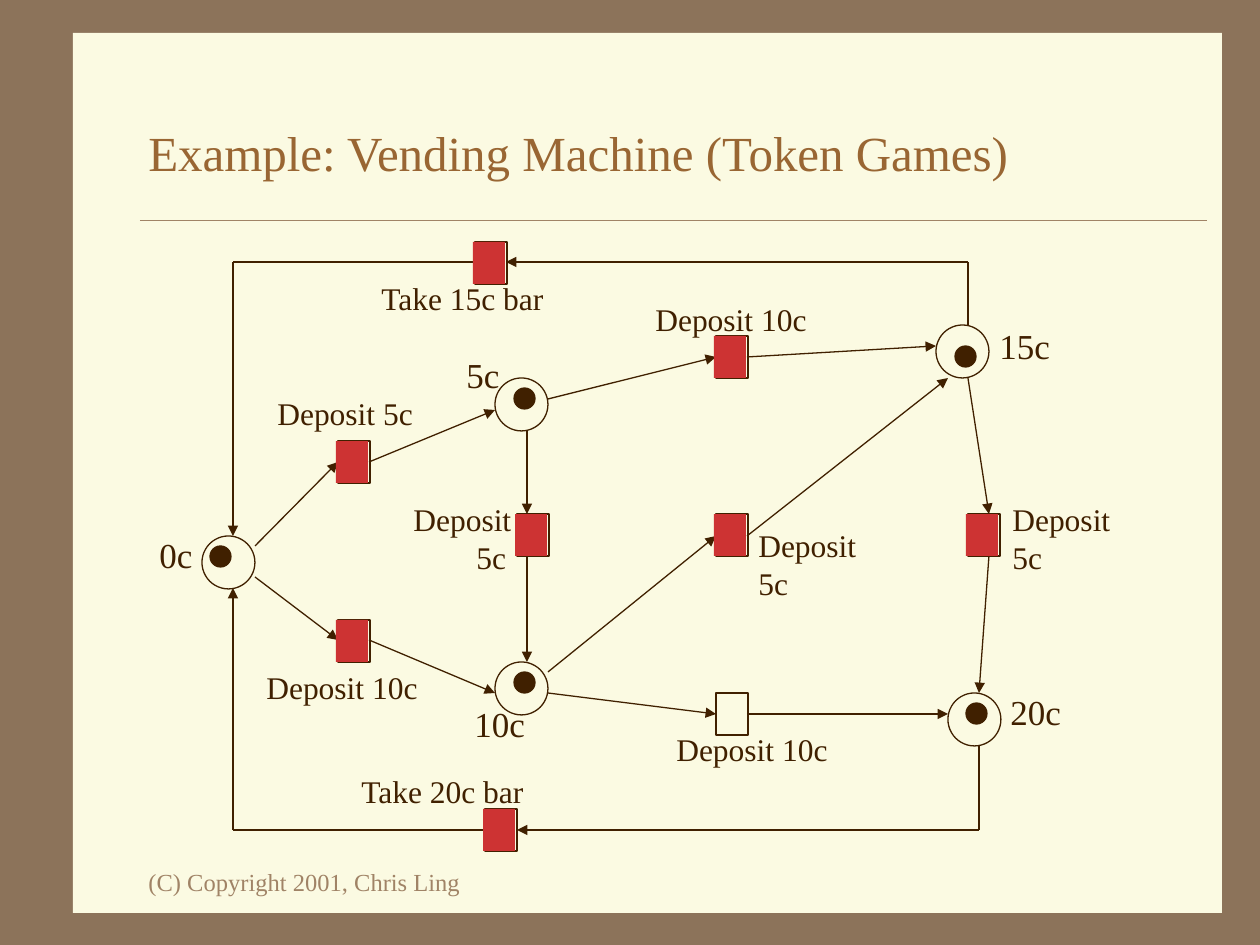
"""Draw the vending machine Petri net with its tokens and fired transitions."""
from typing import NamedTuple

from lxml import etree
from pptx import Presentation
from pptx.dml.color import RGBColor
from pptx.enum.shapes import MSO_CONNECTOR, MSO_SHAPE
from pptx.enum.text import MSO_ANCHOR, MSO_AUTO_SIZE
from pptx.oxml.ns import qn
from pptx.util import Emu, Pt

RECT = MSO_SHAPE.RECTANGLE
OVAL = MSO_SHAPE.OVAL
LINE = MSO_CONNECTOR.STRAIGHT
MIDDLE = MSO_ANCHOR.MIDDLE
TOP = MSO_ANCHOR.TOP
GROW = MSO_AUTO_SIZE.SHAPE_TO_FIT_TEXT

FONT = "Times New Roman"
DARK, RED, BROWN = "402000", "CD3333", "996633"
CREAM, FRAME, TAN = "FBFAE2", "8C735A", "A08366"
RING, DOT, BAR = (53, 53), (21, 21), (32, 42)


class Place(NamedTuple):
    x: int
    y: int
    dx: int
    dy: int


class Step(NamedTuple):
    x: int
    y: int
    fired: bool = True


class Label(NamedTuple):
    x: int
    y: int
    w: int
    h: int
    text: str
    size: int = 18
    color: str = DARK
    wrap: bool = False
    anchor: MSO_ANCHOR = TOP
    indent: int = 0


class Route(NamedTuple):
    points: list[tuple[int, int]]
    color: str = DARK
    width: float = 0.75
    arrow: bool = True


PLACES = [
    Place(202, 536, 8, 10),
    Place(495, 378, 19, 10),
    Place(495, 662, 19, 10),
    Place(948, 693, 18, 10),
    Place(936, 325, 19, 21),
]
STEPS = [
    Step(338, 620), Step(338, 441), Step(716, 336),
    Step(716, 693, False), Step(716, 514), Step(517, 514),
    Step(968, 514), Step(485, 809), Step(475, 242),
]
ROUTES = [
    Route([(140, 220), (1207, 220)], TAN, 0.25, False),
    Route([(968, 325), (968, 262), (506, 262)]),
    Route([(475, 262), (233, 262), (233, 536)]),
    Route([(979, 746), (979, 830), (517, 830)]),
    Route([(485, 830), (233, 830), (233, 588)]),
    Route([(255, 546), (338, 462)]),
    Route([(255, 577), (338, 640)]),
    Route([(369, 462), (495, 410)]),
    Route([(369, 640), (495, 693)]),
    Route([(548, 399), (716, 357)]),
    Route([(747, 357), (936, 346)]),
    Route([(527, 430), (527, 514)]),
    Route([(527, 556), (527, 662)]),
    Route([(548, 672), (716, 536)]),
    Route([(747, 536), (948, 378)]),
    Route([(548, 693), (716, 714)]),
    Route([(747, 714), (948, 714)]),
    Route([(968, 378), (989, 514)]),
    Route([(989, 556), (979, 693)]),
]
LABELS = [
    Label(136, 861, 347, 42, "(C) Copyright 2001, Chris Ling", 14, TAN, True),
    Label(136, 84, 1071, 136, "Example: Vending Machine (Token Games)", 28,
          BROWN, True, MIDDLE),
    Label(454, 347, 58, 55, "5c", 20),
    Label(147, 527, 58, 55, "0c", 20),
    Label(462, 696, 76, 55, "10c", 20),
    Label(998, 684, 76, 55, "20c", 20),
    Label(987, 318, 76, 55, "15c", 20),
    Label(369, 273, 243, 50, "Take 15c bar", wrap=True),
    Label(349, 766, 189, 50, "Take 20c bar"),
    Label(265, 388, 162, 50, "Deposit 5c"),
    Label(254, 662, 178, 50, "Deposit 10c"),
    Label(643, 294, 178, 50, "Deposit 10c"),
    Label(664, 724, 178, 50, "Deposit 10c"),
    Label(401, 494, 136, 88, "Deposit\n5c", wrap=True, indent=63),
    Label(746, 520, 123, 88, "Deposit\n5c"),
    Label(1000, 494, 123, 88, "Deposit\n5c"),
]


def px(n: int) -> Emu:
    """Turn pixels into EMU."""
    return Emu(round(n * 914400 / 126))


def rgb(code: str) -> RGBColor:
    """Turn a hex string into a colour."""
    return RGBColor.from_string(code)


def draw_shape(slide, kind: MSO_SHAPE, x: int, y: int, size: tuple[int, int],
               fill: str = "", line: str = "") -> None:
    """Add one preset shape."""
    shape = slide.shapes.add_shape(kind, px(x), px(y), *map(px, size))
    shape.shadow.inherit = False
    if fill:
        shape.fill.solid()
        shape.fill.fore_color.rgb = rgb(fill)
    else:
        shape.fill.background()
    if line:
        shape.line.color.rgb = rgb(line)
        shape.line.width = Pt(0.75)
    else:
        shape.line.fill.background()


def draw_route(slide, route: Route) -> None:
    """Add a chain of lines, with the arrowhead on the last one."""
    for start, end in zip(route.points, route.points[1:]):
        wire = slide.shapes.add_connector(LINE, *map(px, start + end))
        wire.line.color.rgb = rgb(route.color)
        wire.line.width = Pt(route.width)
        if route.arrow and end == route.points[-1]:
            tail = etree.SubElement(wire.line._get_or_add_ln(), qn("a:tailEnd"))
            tail.set("type", "triangle")
        etree.SubElement(wire._element.spPr, qn("a:effectLst"))


def draw_label(slide, label: Label) -> None:
    """Add one text box, a paragraph for each line."""
    box = slide.shapes.add_textbox(*map(px, label[:4]))
    frame = box.text_frame
    frame.word_wrap = label.wrap
    if not label.wrap:
        frame.auto_size = GROW
    frame.vertical_anchor = label.anchor
    for i, text in enumerate(label.text.split("\n")):
        para = frame.add_paragraph() if i else frame.paragraphs[0]
        if i and label.indent:
            para._p.get_or_add_pPr().set("marL", str(px(label.indent)))
        run = para.add_run()
        run.text = text
        run.font.name = FONT
        run.font.size = Pt(label.size)
        run.font.color.rgb = rgb(label.color)


def main() -> None:
    """Build and save the slide."""
    deck = Presentation()
    deck.slide_width, deck.slide_height = px(1260), px(945)
    slide = deck.slides.add_slide(deck.slide_layouts[6])
    slide.background.fill.solid()
    slide.background.fill.fore_color.rgb = rgb(FRAME)
    draw_shape(slide, RECT, 73, 33, (1149, 880), CREAM)
    for step in STEPS:
        draw_shape(slide, RECT, step.x, step.y, BAR, line=DARK)
    for place in PLACES:
        draw_shape(slide, OVAL, place.x, place.y, RING, line=DARK)
    for route in ROUTES:
        draw_route(slide, route)
    for label in LABELS:
        draw_label(slide, label)
    for step in STEPS:
        if step.fired:
            draw_shape(slide, RECT, step.x - 2, step.y, BAR, RED)
    for place in PLACES:
        draw_shape(slide, OVAL, place.x + place.dx, place.y + place.dy, DOT,
                   DARK, DARK)
    deck.save("out.pptx")


if __name__ == "__main__":
    main()
